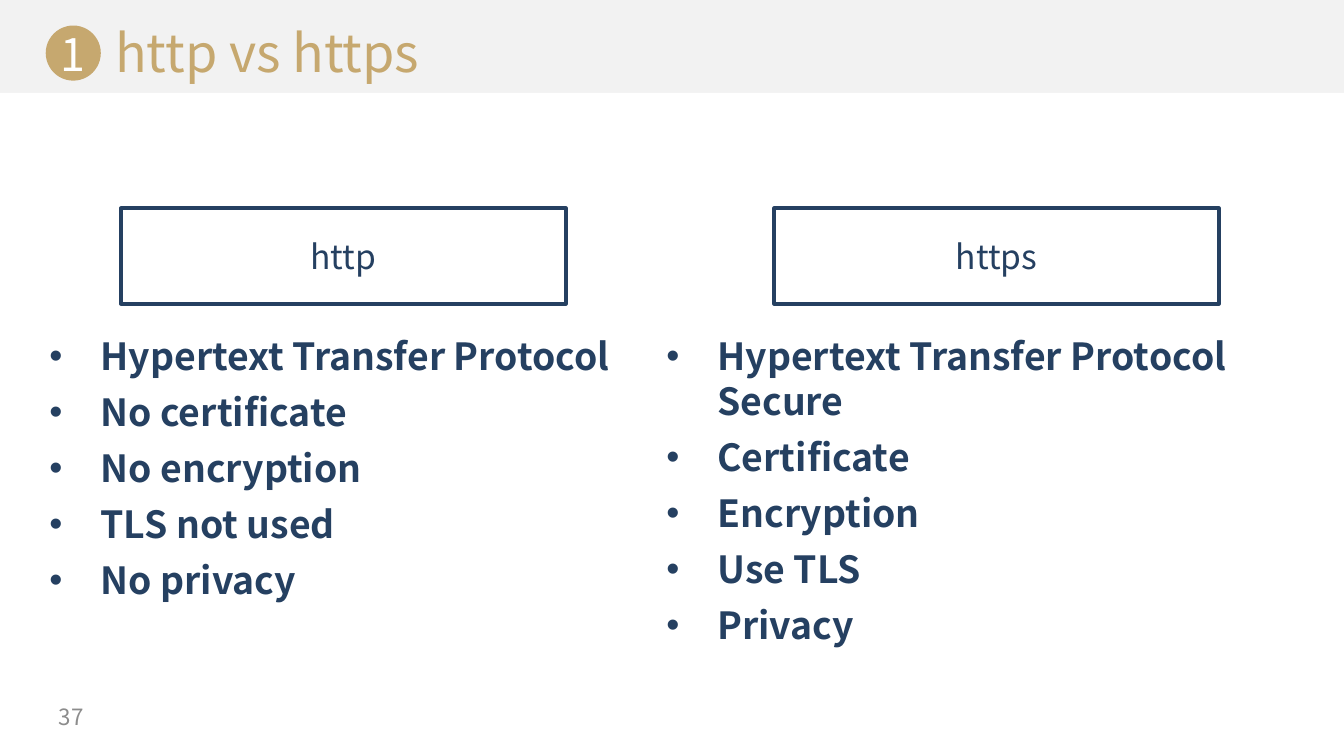
from lxml.etree import SubElement
from pptx import Presentation
from pptx.dml.color import RGBColor
from pptx.enum.shapes import MSO_SHAPE as Shape
from pptx.enum.text import MSO_ANCHOR as Anchor, PP_ALIGN as Align
from pptx.oxml.ns import qn
from pptx.util import Inches, Pt

WIDTH = 10
HEIGHT = WIDTH * 9 / 16
BAND = 0.69
FONT = "Noto Sans CJK KR"
COLORS = {"band": "F2F2F2", "paper": "FFFFFF", "gold": "C6A86F",
          "navy": "254061", "gray": "8C8C8C"}
BADGE = (0.34, 0.19, 0.41, 0.41)
COLUMNS = [
    {"heading": "http", "box_left": 0.9, "list_left": 0.27, "list_width": 4.57,
     "points": ["Hypertext Transfer Protocol", "No certificate",
                "No encryption", "TLS not used", "No privacy"]},
    {"heading": "https", "box_left": 5.76, "list_left": 4.86, "list_width": 5.1,
     "points": ["Hypertext Transfer Protocol Secure", "Certificate",
                "Encryption", "Use TLS", "Privacy"]},
]


def color(name):
    return RGBColor.from_string(COLORS[name])


def apply(target, values):
    for name, value in values.items():
        setattr(target, name, value)


def add_box(page, kind, place, fill=None, line=None):
    box = page.shapes.add_shape(kind, *map(Inches, place))
    box.shadow.inherit = False
    if fill:
        box.fill.solid()
        box.fill.fore_color.rgb = color(fill)
    else:
        box.fill.background()
    if line:
        box.line.color.rgb = color(line)
        box.line.width = Pt(2)
    else:
        box.line.fill.background()
    return box


def add_bullet(para):
    props = para._p.get_or_add_pPr()
    props.set("marL", str(Inches(0.38)))
    props.set("indent", str(-Inches(0.38)))
    SubElement(props, qn("a:buFont"), typeface="Arial")
    SubElement(props, qn("a:buChar"), char="•")


def write(box, lines, size, ink, anchor=Anchor.MIDDLE, align=Align.LEFT,
          bold=False, bullets=False, margin=None):
    frame = box.text_frame
    apply(frame, {"word_wrap": True, "vertical_anchor": anchor})
    if margin is not None:
        sides = ("left", "right", "top", "bottom")
        apply(frame, {f"margin_{side}": Inches(margin) for side in sides})
    for index, line in enumerate(lines):
        para = frame.add_paragraph() if index else frame.paragraphs[0]
        para.alignment = align
        if index:
            para.space_before = Pt(6)
        if bullets:
            add_bullet(para)
        span = para.add_run()
        span.text = line
        apply(span.font, {"name": FONT, "size": Pt(size), "bold": bold})
        span.font.color.rgb = color(ink)
        SubElement(span.font._element, qn("a:ea"), typeface=FONT)


def add_text(page, place, lines, size, ink, **style):
    box = page.shapes.add_textbox(*map(Inches, place))
    write(box, lines, size, ink, **style)


def add_column(page, column):
    heading = add_box(page, Shape.RECTANGLE,
                      (column["box_left"], 1.55, 3.31, 0.71), line="navy")
    write(heading, [column["heading"]], 18, "navy", align=Align.CENTER)
    add_text(page, (column["list_left"], 2.43, column["list_width"], 2.75),
             column["points"], 20, "navy", anchor=Anchor.TOP, bold=True,
             bullets=True)


def main():
    deck = Presentation()
    apply(deck, {"slide_width": Inches(WIDTH), "slide_height": Inches(HEIGHT)})
    page = deck.slides.add_slide(deck.slide_layouts[6])
    page.background.fill.solid()
    page.background.fill.fore_color.rgb = color("band")
    add_box(page, Shape.RECTANGLE, (0, BAND, WIDTH, HEIGHT - BAND), fill="paper")
    add_box(page, Shape.OVAL, BADGE, fill="gold")
    add_text(page, (0.76, 0.09, 8.97, 0.58), ["http vs https"], 28, "gold",
             anchor=Anchor.BOTTOM)
    add_text(page, BADGE, ["1"], 24, "paper", align=Align.CENTER, margin=0)
    for column in COLUMNS:
        add_column(page, column)
    add_text(page, (0.34, 5.18, 0.48, 0.3), ["37"], 12, "gray")
    deck.save("out.pptx")


if __name__ == "__main__":
    main()
